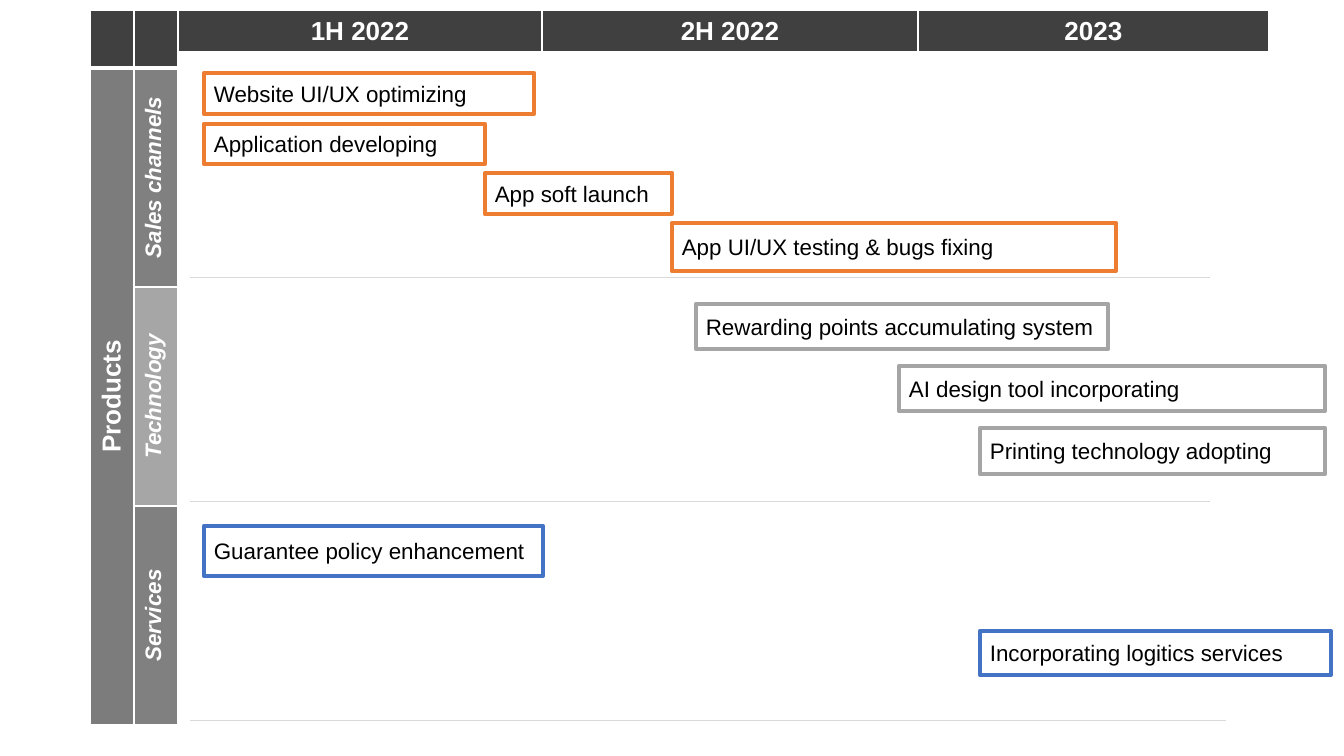
from lxml import etree
from pptx import Presentation
from pptx.dml.color import RGBColor
from pptx.enum.shapes import MSO_CONNECTOR, MSO_SHAPE
from pptx.enum.text import MSO_ANCHOR, PP_ALIGN
from pptx.oxml.ns import qn
from pptx.util import Emu, Pt

STRAIGHT = MSO_CONNECTOR.STRAIGHT
PROCESS = MSO_SHAPE.FLOWCHART_PROCESS
MIDDLE, TOP = MSO_ANCHOR.MIDDLE, MSO_ANCHOR.TOP
LEFT, CENTER = PP_ALIGN.LEFT, PP_ALIGN.CENTER

COLORS = {
    "white": "FFFFFF", "black": "000000", "header": "404040",
    "products": "7C7C7C", "dark": "808080", "light": "A6A6A6",
    "rule": "D9D9D9", "sales": "ED7D31", "technology": "A5A5A5",
    "services": "4472C4",
}


def px(n):
    return Emu(round(n * 914400 / 100.8))


def rgb(name):
    return RGBColor.from_string(COLORS[name])


class Roadmap:
    font = "Arial"

    def __init__(self, slide):
        self.shapes = slide.shapes

    def text(self, tf, text, size, color, align, bold=False, italic=False):
        p = tf.paragraphs[0]
        p.alignment = align
        r = p.add_run()
        r.text = text
        r.font.name = self.font
        r.font.size = Pt(size)
        r.font.bold = bold
        r.font.italic = italic
        r.font.color.rgb = rgb(color)

    def table(self, x, y, cols, rows):
        table = self.shapes.add_table(
            len(rows), len(cols), px(x), px(y), px(sum(cols)), px(sum(rows))).table
        table.first_row = table.horz_banding = False
        for col, width in zip(table.columns, cols):
            col.width = px(width)
        for row, height in zip(table.rows, rows):
            row.height = px(height)
        return table

    def cell(self, cell, fill, text="", size=18.6, italic=False,
             vertical=False, top=1, bottom=1):
        cell.margin_left = cell.margin_right = px(13)
        cell.margin_top = cell.margin_bottom = px(7)
        cell.vertical_anchor = MIDDLE if vertical else TOP
        tcPr = cell._tc.get_or_add_tcPr()
        if vertical:
            tcPr.set("vert", "vert270")
        for side, width in (("L", 1), ("R", 1), ("T", top), ("B", bottom)):
            ln = etree.SubElement(tcPr, qn("a:ln" + side), w=str(Pt(width)))
            line_fill = etree.SubElement(ln, qn("a:solidFill"))
            etree.SubElement(line_fill, qn("a:srgbClr"), val=COLORS["white"])
        cell.fill.solid()
        cell.fill.fore_color.rgb = rgb(fill)
        if text:
            self.text(cell.text_frame, text, size, "white", CENTER, True, italic)

    def rule(self, x1, x2, y):
        line = self.shapes.add_connector(STRAIGHT, px(x1), px(y), px(x2), px(y))
        line.line.color.rgb = rgb("rule")
        line.line.width = Pt(0.5)
        etree.SubElement(line._element.spPr, qn("a:effectLst"))

    def task(self, x, y, w, h, text, color):
        sp = self.shapes.add_shape(PROCESS, px(x), px(y), px(w), px(h))
        sp.shadow.inherit = False
        sp.fill.solid()
        sp.fill.fore_color.rgb = rgb("white")
        sp.line.color.rgb = rgb(color)
        sp.line.width = Pt(3)
        tf = sp.text_frame
        tf.word_wrap = True
        tf.vertical_anchor = MIDDLE
        self.text(tf, text, 16, "black", LEFT)


PERIODS = ["1H 2022", "2H 2022", "2023"]
STREAMS = [("Sales channels", "dark"), ("Technology", "light"), ("Services", "dark")]
RULES = [(190, 1210, 277), (190, 1210, 501), (190, 1226, 720)]
TASKS = [
    (204, 73, 330, 41, "Website UI/UX optimizing", "sales"),
    (204, 124, 281, 40, "Application developing", "sales"),
    (485, 173, 187, 41, "App soft launch", "sales"),
    (672, 223, 444, 48, "App UI/UX testing & bugs fixing", "sales"),
    (696, 304, 412, 45, "Rewarding points accumulating system", "technology"),
    (899, 366, 426, 45, "AI design tool incorporating", "technology"),
    (980, 428, 345, 46, "Printing technology adopting", "technology"),
    (204, 526, 339, 50, "Guarantee policy enhancement", "services"),
    (980, 631, 351, 44, "Incorporating logitics services", "services"),
]


def main():
    prs = Presentation()
    prs.slide_width, prs.slide_height = px(1344), px(756)
    s = prs.slides.add_slide(prs.slide_layouts[6])
    roadmap = Roadmap(s)

    header = roadmap.table(178, 10, [364, 376, 351], [30])
    for i, period in enumerate(PERIODS):
        roadmap.cell(header.cell(0, i), "header", period, bottom=3)

    streams = roadmap.table(90, 10, [44, 44], [58, 219, 219, 219])
    streams.cell(1, 0).merge(streams.cell(3, 0))
    for col in range(2):
        roadmap.cell(streams.cell(0, col), "header", bottom=3)
    for row, (name, fill) in enumerate(STREAMS, 1):
        top = 3 if row == 1 else 1
        product = "Products" if row == 1 else ""
        roadmap.cell(streams.cell(row, 0), "products", product, vertical=True, top=top)
        roadmap.cell(streams.cell(row, 1), fill, name, 16, True, True, top)

    for rule in RULES:
        roadmap.rule(*rule)
    for task in TASKS:
        roadmap.task(*task)

    prs.save("out.pptx")


if __name__ == "__main__":
    main()
